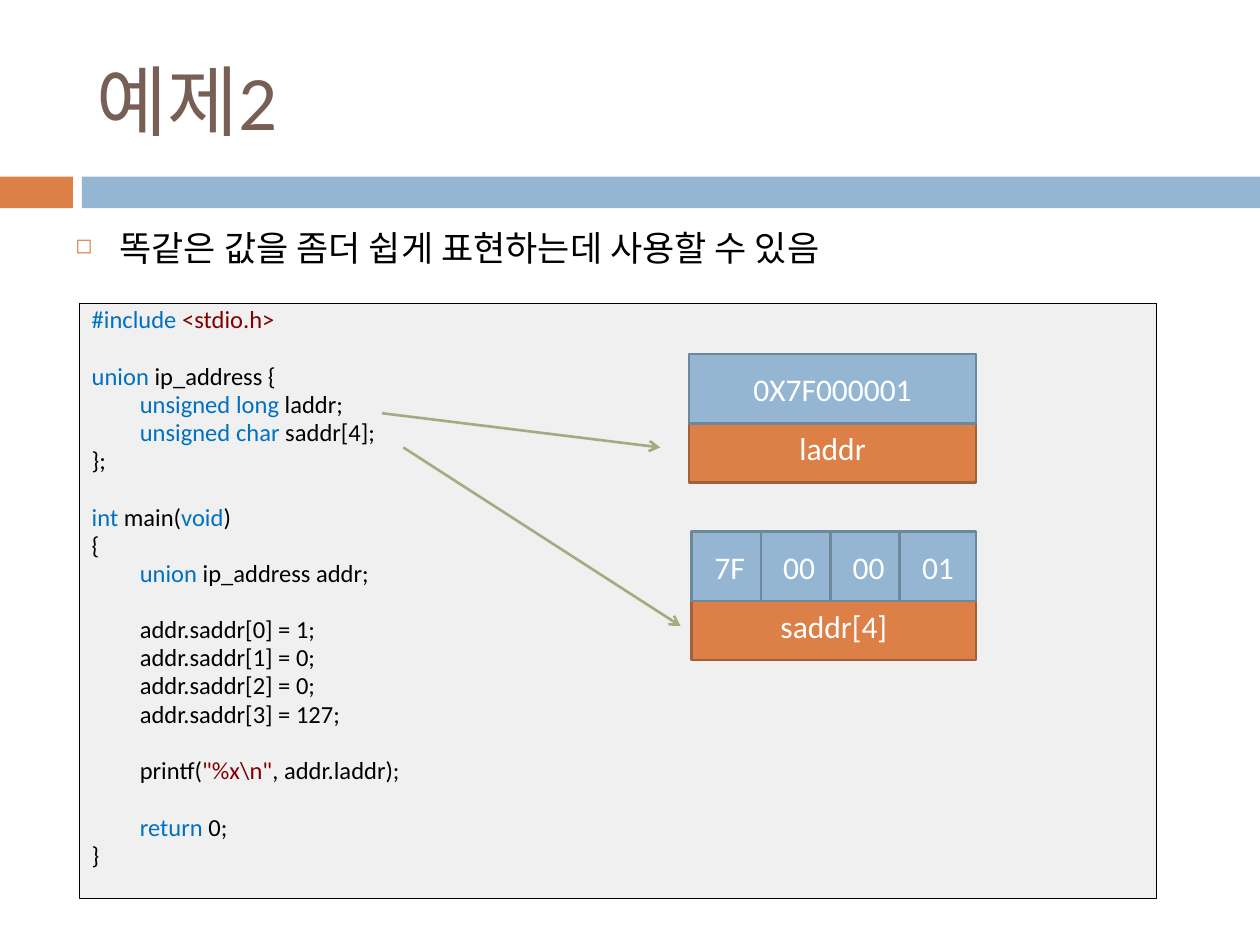
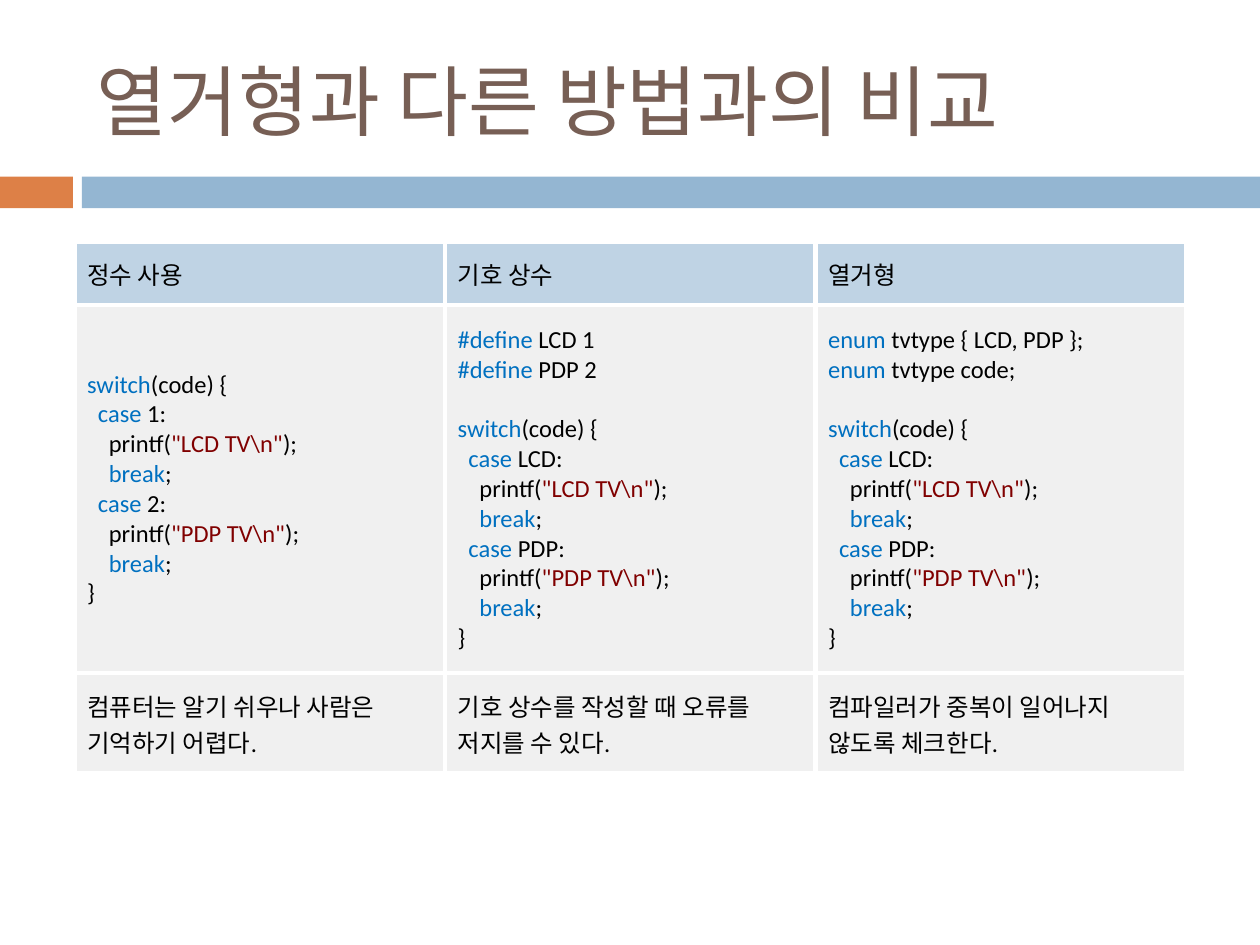
from dataclasses import dataclass
from itertools import groupby
from typing import Iterator

from lxml import etree
from pptx import Presentation
from pptx import util as u
from pptx.dml import color
from pptx.enum import shapes, text
from pptx.oxml import ns

# Shared look
LATIN, HANGUL = "Calibri", "Noto Sans CJK KR"
ORANGE, BLUE, BROWN, GREEN = "DD8047", "94B6D2", "775F55", "A5AB81"
RUST, STEEL, PALE, GREY = "A35F35", "6D879B", "BFD3E4", "F0F0F0"
BLACK, WHITE, KEY, QUOTE = "000000", "FFFFFF", "0070C0", "800000"
WORDS = set("#include #define union unsigned long char int void return "
            "switch case break enum".split())
MIDDLE = text.MSO_ANCHOR.MIDDLE


@dataclass
class Box:
    left: float
    top: float
    width: float
    height: float

    def place(self) -> list:
        return [u.Cm(n) for n in (self.left, self.top, self.width, self.height)]


@dataclass
class Field:
    """A union member: its cells of memory above its name."""
    name: str
    left: float
    top: float
    width: float
    cells: list[str]


@dataclass
class Arrow:
    start: tuple[float, float]
    end: tuple[float, float]


@dataclass
class Style:
    """Spacing of a code listing; step in cm, the others in points."""
    step: float
    before: float
    gap: float
    line: float


BANDS = [(Box(0, 3.56, 1.47, 0.64), ORANGE), (Box(1.65, 3.56, 23.75, 0.64), BLUE)]
TITLE = Box(1.7, 0.64, 22.66, 2.74)
BODY = Box(1.27, 4.45, 22.86, 13.54)
PANEL = Box(1.6, 6.12, 21.72, 11.99)
TALL, LAP = 1.4, 0.14
FIELDS = [
    Field("laddr", 13.89, 7.14, 5.79, ["0X7F000001"]),
    Field("saddr[4]", 13.94, 10.72, 5.74, ["7F", "00", "00", "01"]),
]
ARROWS = [Arrow((7.7, 8.33), (13.31, 9.02)), Arrow((8.13, 9.02), (13.72, 12.62))]
LISTING = Style(step=0.97, before=2.6, gap=16.3, line=0.8)
SNIPPET = Style(step=0.22, before=0, gap=17, line=1)

# Each leading tab is one level; an empty line widens the next gap
UNION = r"""#include <stdio.h>

union ip_address {
	unsigned long laddr;
	unsigned char saddr[4];
};

int main(void)
{
	union ip_address addr;

	addr.saddr[0] = 1;
	addr.saddr[1] = 0;
	addr.saddr[2] = 0;
	addr.saddr[3] = 127;

	printf("%x\n", addr.laddr);

	return 0;
}"""


def switch(first: str, second: str) -> str:
    lines = ["switch(code) {"]
    for label, kind in ((first, "LCD"), (second, "PDP")):
        lines += [f"\tcase {label}:", f'\t\tprintf("{kind} TV\\n");', "\t\tbreak;"]
    return "\n".join(lines + ["}"])


NAMED = switch("LCD", "PDP")
HEADS = ["정수 사용", "기호 상수", "열거형"]
CODES = [
    switch("1", "2"),
    "#define LCD 1\n#define PDP 2\n\n" + NAMED,
    "enum tvtype { LCD, PDP };\nenum tvtype code;\n\n" + NAMED,
]
NOTES = [
    "컴퓨터는 알기 쉬우나 사람은 기억하기 어렵다.",
    "기호 상수를 작성할 때 오류를 저지를 수 있다.",
    "컴파일러가 중복이 일어나지 않도록 체크한다.",
]


# Helpers
def rgb(code: str) -> color.RGBColor:
    return color.RGBColor.from_string(code)


def paint(part, code: str) -> None:
    part.fill.solid()
    part.fill.fore_color.rgb = rgb(code)


def node(parent, tag: str, **attrs: str):
    return etree.SubElement(parent, ns.qn(tag), attrs)


def style(run, size: float, code: str, face: str = LATIN) -> None:
    run.font.size = u.Pt(size)
    run.font.color.rgb = rgb(code)
    run.font.name = face
    node(run.font._element, "a:ea", typeface=HANGUL)


def write(para, words: str, size: float, code: str, face: str = LATIN) -> None:
    para.text = words
    for run in para.runs:
        style(run, size, code, face)


def add_rect(slide, box: Box, fill: str, edge: str = "", weight: float = 1.5):
    rect = slide.shapes.add_shape(shapes.MSO_SHAPE.RECTANGLE, *box.place())
    rect.shadow.inherit = False
    paint(rect, fill)
    if edge:
        rect.line.color.rgb = rgb(edge)
        rect.line.width = u.Pt(weight)
    else:
        rect.line.fill.background()
    return rect


def add_label(slide, box: Box, words: str, fill: str, edge: str) -> None:
    frame = add_rect(slide, box, fill, edge).text_frame
    frame.vertical_anchor = MIDDLE
    frame.paragraphs[0].alignment = text.PP_ALIGN.CENTER
    write(frame.paragraphs[0], words, 18, WHITE)


def add_text(slide, box: Box):
    frame = slide.shapes.add_textbox(*box.place()).text_frame
    frame.word_wrap = True
    return frame


# Code colouring
def split(line: str) -> Iterator[tuple[str, str]]:
    """Yield each piece of a line with its colour."""
    if line.startswith("#include"):
        word, rest = line.split(" ", 1)
        yield word + " ", KEY
        yield rest, QUOTE
        return
    for spot, part in enumerate(line.split('"')):
        if spot % 2:
            yield f'"{part}"', QUOTE
            continue
        for _, chars in groupby(part, lambda c: c.isalnum() or c in "#_"):
            word = "".join(chars)
            yield word, KEY if word in WORDS else BLACK


def add_code(frame, code: str, look: Style) -> None:
    gap, para = 0.0, None
    for line in code.splitlines():
        if not line:
            gap = look.gap
            continue
        para = frame.add_paragraph() if para else frame.paragraphs[0]
        para.alignment = text.PP_ALIGN.LEFT
        para.line_spacing = look.line
        para.space_before = u.Pt(look.before + gap)
        gap = 0.0
        bare = line.lstrip("\t")
        depth = len(line) - len(bare)
        para._p.get_or_add_pPr().set("marL", str(u.Cm(depth * look.step)))
        for code_, parts in groupby(split(bare), lambda pair: pair[1]):
            run = para.add_run()
            run.text = "".join(word for word, _ in parts)
            style(run, 14, code_)


# Parts of the slides
def add_slide(deck, title: str):
    slide = deck.slides.add_slide(deck.slide_layouts[6])
    for box, fill in BANDS:
        add_rect(slide, box, fill)
    frame = add_text(slide, TITLE)
    frame.vertical_anchor = MIDDLE
    write(frame.paragraphs[0], title, 44, BROWN)
    return slide


def add_bullet(slide, words: str) -> None:
    para = add_text(slide, BODY).paragraphs[0]
    write(para, words, 20, BLACK, HANGUL)
    para.space_before = u.Pt(7)
    props = para._p.get_or_add_pPr()
    props.set("marL", str(u.Cm(0.89)))
    props.set("indent", str(u.Cm(-0.89)))
    node(node(props, "a:buClr"), "a:srgbClr", val=ORANGE)
    node(props, "a:buSzPct", val="60000")
    node(props, "a:buChar", char="◻")


def add_field(slide, field: Field) -> None:
    name = Box(field.left, field.top + TALL * 0.85, field.width, TALL)
    add_label(slide, name, field.name, ORANGE, RUST)
    count = len(field.cells)
    wide = (field.width + LAP * (count - 1)) / count
    for spot, value in enumerate(field.cells):
        cell = Box(field.left + spot * (wide - LAP), field.top, wide, TALL)
        add_label(slide, cell, value, BLUE, STEEL)


def add_arrow(slide, arrow: Arrow) -> None:
    ends = [u.Cm(n) for n in arrow.start + arrow.end]
    line = slide.shapes.add_connector(shapes.MSO_CONNECTOR.STRAIGHT, *ends)
    line.line.color.rgb = rgb(GREEN)
    line.line.width = u.Pt(1.5)
    node(line.line._get_or_add_ln(), "a:tailEnd", type="arrow")
    node(line._element.spPr, "a:effectLst")


def dress(cell, fill: str) -> None:
    """Give a cell white borders and a fill."""
    props = cell._tc.get_or_add_tcPr()
    for side in "LRTB":
        edge = node(props, f"a:ln{side}", w=str(u.Pt(3)))
        node(node(edge, "a:solidFill"), "a:srgbClr", val=WHITE)
    paint(cell, fill)
    cell.vertical_anchor = MIDDLE


def add_grid(slide) -> None:
    box = Box(1.5, 4.88, 22.41, 10.72)
    grid = slide.shapes.add_table(3, 3, *box.place()).table
    grid.first_row = grid.horz_banding = False
    for row, high in zip(grid.rows, (1.27, 7.42, 2.03)):
        row.height = u.Cm(high)
    for col, (head, code, note) in enumerate(zip(HEADS, CODES, NOTES)):
        grid.columns[col].width = u.Cm(box.width / 3)
        top, mid, low = (grid.cell(row, col) for row in range(3))
        for cell, fill in ((top, PALE), (mid, GREY), (low, GREY)):
            dress(cell, fill)
        write(top.text_frame.paragraphs[0], head, 14, BLACK)
        add_code(mid.text_frame, code, SNIPPET)
        write(low.text_frame.paragraphs[0], note, 14, BLACK)


def main() -> None:
    deck = Presentation()
    deck.slide_width, deck.slide_height = u.Cm(25.4), u.Cm(19.05)

    # Union example
    slide = add_slide(deck, "예제2")
    panel = add_rect(slide, PANEL, GREY, BLACK, 0.25).text_frame
    panel.vertical_anchor = text.MSO_ANCHOR.TOP
    add_code(panel, UNION, LISTING)
    for field in FIELDS:
        add_field(slide, field)
    add_bullet(slide, "똑같은 값을 좀더 쉽게 표현하는데 사용할 수 있음")
    for arrow in ARROWS:
        add_arrow(slide, arrow)

    # Three ways compared
    add_grid(add_slide(deck, "열거형과 다른 방법과의 비교"))
    deck.save("out.pptx")


if __name__ == "__main__":
    main()
